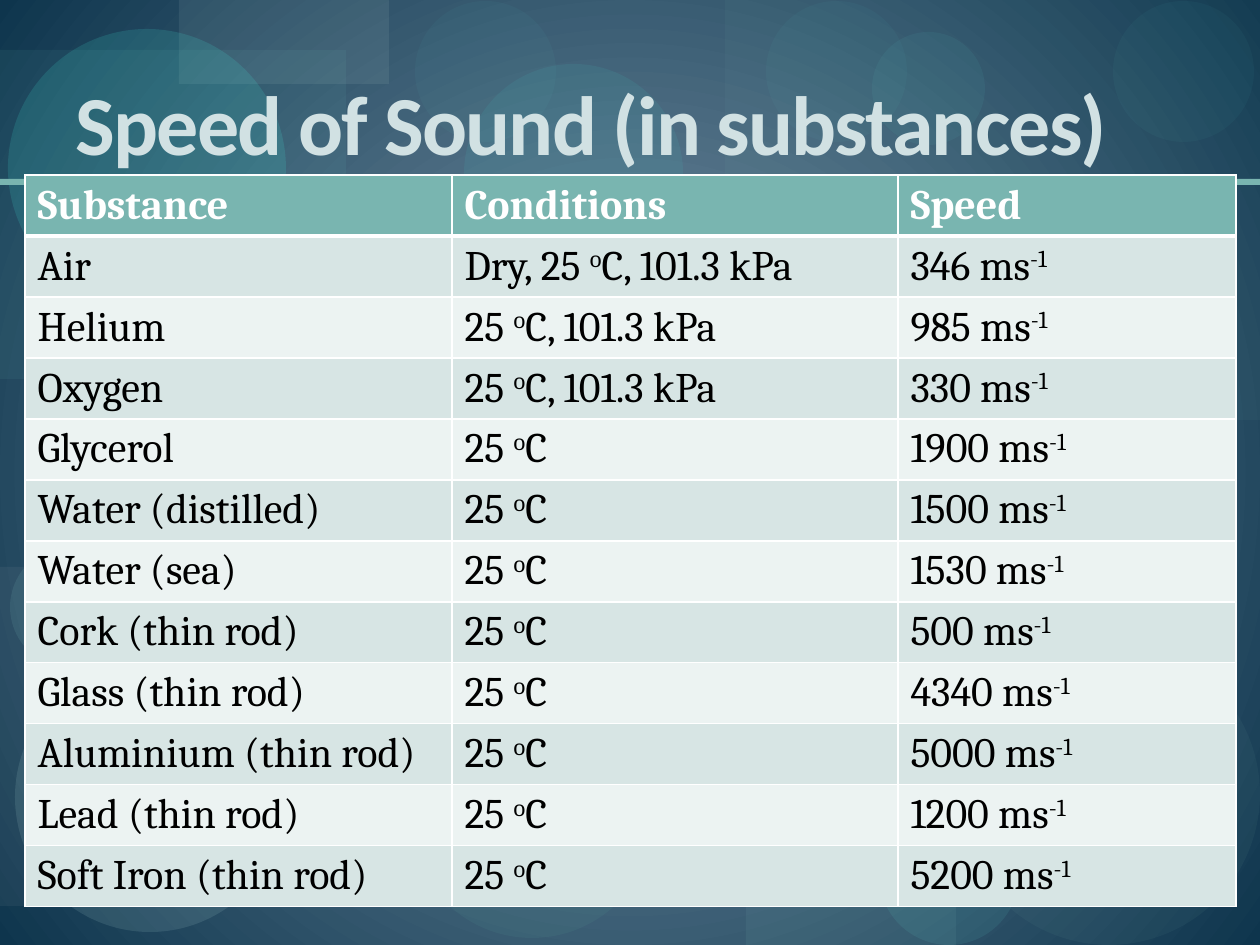
from dataclasses import dataclass

from lxml.etree import SubElement
from pptx import Presentation
from pptx.dml.color import RGBColor
from pptx.enum.shapes import MSO_SHAPE
from pptx.enum.text import MSO_ANCHOR, PP_ALIGN
from pptx.oxml.ns import qn
from pptx.util import Emu, Pt


@dataclass(frozen=True)
class Theme:
    glow: str = "7B96AA"
    deep: str = "0E354D"
    teal: str = "79B5B0"
    pale: str = "D1E1E3"
    white: str = "FFFFFF"
    black: str = "000000"
    bands: tuple = ("ECF3F2", "D7E5E4")
    head: str = "Calibri"
    body: str = "Cambria"
    big: int = 48
    base: int = 24


T = Theme()
EMU = 914400 / 126
rgb = RGBColor.from_string


def px(*sizes):
    return [Emu(round(n * EMU)) for n in sizes]


def put(frame, text, font=T.body, size=T.base, color=T.black, bold=False, spc=0):
    """Write one left-aligned paragraph; text between ^ marks is superscript."""
    para = frame.paragraphs[0]
    para.alignment = PP_ALIGN.LEFT
    for i, part in enumerate(text.split("^")):
        if not part:
            continue
        run = para.add_run()
        run.text = part
        run.font.name, run.font.size, run.font.bold = font, Pt(size), bold
        run.font.color.rgb = rgb(color)
        props = run.font._element
        if spc:
            props.set("spc", str(spc))
        if i % 2:
            props.set("baseline", "30000")


deck = Presentation()
deck.slide_width, deck.slide_height = px(1260, 945)
slide = deck.slides.add_slide(deck.slide_layouts[5])

# Background: radial glow
fill = slide.background.fill
fill.gradient()
for stop, color, pos in zip(fill.gradient_stops, (T.glow, T.deep), (0, 1)):
    stop.color.rgb = rgb(color)
    stop.position = pos
grad = slide.element.find(".//" + qn("a:gradFill"))
grad.remove(grad.find(qn("a:lin")))
path = SubElement(grad, qn("a:path"), path="circle")
SubElement(path, qn("a:fillToRect"), l="50000", t="50000", r="50000", b="50000")

# Backdrop: left, top, width, height, colour, opacity in percent
RECT, OVAL = MSO_SHAPE.RECTANGLE, MSO_SHAPE.OVAL
backdrop = [
    (RECT, 126, 316, 378, 294, T.teal, 9),
    (OVAL, 411, 699, 242, 239, "549791", 13),
    (RECT, 725, 0, 535, 420, T.teal, 6),
    (RECT, 0, 567, 325, 339, "B2B7BA", 8),
    (OVAL, 576, 329, 300, 300, "70A39E", 8),
    (OVAL, 879, 805, 140, 140, "65E8DC", 9),
    (OVAL, 871, 197, 282, 282, "C1E8E4", 11),
    (OVAL, 15, 662, 270, 270, "C1E8E4", 12),
    (OVAL, 278, 631, 141, 141, "65E8DC", 9),
    (OVAL, 575, 638, 209, 193, "44EADC", 8),
    (RECT, 0, 50, 346, 329, "77D6CE", 7),
    (RECT, 179, 0, 210, 84, "BED7D4", 10),
    (OVAL, 8, 29, 278, 278, "44EADC", 15),
    (OVAL, 10, 546, 122, 122, "97DCD6", 10),
    (OVAL, 292, 208, 193, 193, "65E8DC", 9),
    (OVAL, 464, 64, 219, 219, "44EADC", 8),
    (OVAL, 716, 410, 446, 446, "61CDC4", 10),
    (OVAL, 766, 1, 141, 141, "65E8DC", 4),
    (OVAL, 958, 643, 302, 302, "70A39E", 8),
    (OVAL, 221, 510, 165, 165, "97DCD6", 10),
    (OVAL, 872, 32, 113, 113, "65E8DC", 6),
    (OVAL, 1113, 1, 141, 141, "65E8DC", 4),
    (RECT, 746, 872, 210, 73, T.teal, 10),
    (OVAL, 415, 1, 141, 141, "65E8DC", 4),
    (RECT, 0, 179, 1260, 6, T.teal, 100),
]
for kind, left, top, wide, high, color, alpha in backdrop:
    shape = slide.shapes.add_shape(kind, *px(left, top, wide, high))
    shape.shadow.inherit = False
    shape.line.fill.background()
    shape.fill.solid()
    shape.fill.fore_color.rgb = rgb(color)
    if alpha < 100:
        tone = shape.element.spPr.find(".//" + qn("a:srgbClr"))
        SubElement(tone, qn("a:alpha"), val=str(alpha * 1000))

# Title, brought in front of the backdrop
title = slide.shapes.title
title.left, title.top, title.width, title.height = px(63, 21, 1134, 158)
slide.shapes.element.append(title.element)
title.text_frame.vertical_anchor = MSO_ANCHOR.BOTTOM
put(title.text_frame, "Speed of Sound (in substances)",
    font=T.head, size=T.big, color=T.pale, bold=True, spc=-100)

# Table
warm = "25 ^o^C"
gas = warm + ", 101.3 kPa"
speeds = [
    ("Air", "Dry, " + gas, 346),
    ("Helium", gas, 985),
    ("Oxygen", gas, 330),
    ("Glycerol", warm, 1900),
    ("Water (distilled)", warm, 1500),
    ("Water (sea)", warm, 1530),
    ("Cork (thin rod)", warm, 500),
    ("Glass (thin rod)", warm, 4340),
    ("Aluminium (thin rod)", warm, 5000),
    ("Lead (thin rod)", warm, 1200),
    ("Soft Iron (thin rod)", warm, 5200),
]
rows = [("Substance", "Conditions", "Speed")]
rows += [(name, state, f"{speed} ms^-1^") for name, state, speed in speeds]
cols, step = (427, 446, 338), 61
grid = slide.shapes.add_table(
    len(rows), len(cols), *px(25, 175, sum(cols), step * len(rows))).table
for col, wide in zip(grid.columns, px(*cols)):
    col.width = wide
for r, row in enumerate(rows):
    grid.rows[r].height = px(step)[0]
    top = r == 0
    for c, text in enumerate(row):
        cell = grid.cell(r, c)
        put(cell.text_frame, text, color=T.white if top else T.black, bold=top)
        props = cell._tc.get_or_add_tcPr()
        for side in ("lnL", "lnR", "lnT", "lnB"):
            # The rule under the header row is thicker
            thick = (top and side == "lnB") or (r == 1 and side == "lnT")
            line = SubElement(props, qn("a:" + side), w=str(Pt(3 if thick else 1)))
            ink = SubElement(line, qn("a:solidFill"))
            SubElement(ink, qn("a:srgbClr"), val=T.white)
        cell.fill.solid()
        cell.fill.fore_color.rgb = rgb(T.teal if top else T.bands[r % 2])

deck.save("out.pptx")
